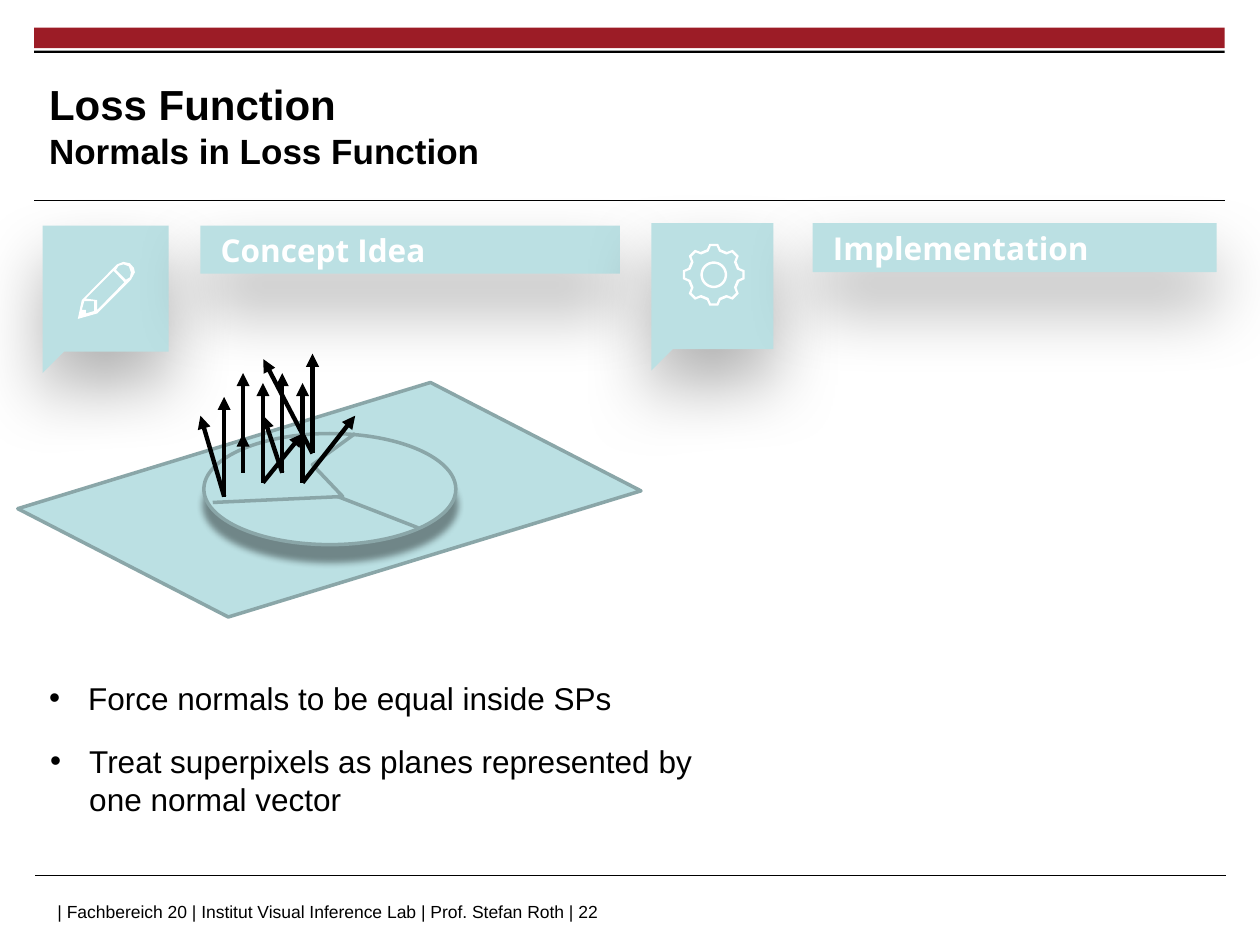
import math
from dataclasses import dataclass
from typing import Optional

from lxml import etree
from pptx import Presentation
from pptx.dml.color import RGBColor
from pptx.enum.shapes import MSO_CONNECTOR, MSO_SHAPE
from pptx.enum.text import MSO_ANCHOR, MSO_AUTO_SIZE, PP_ALIGN
from pptx.oxml.ns import qn
from pptx.util import Cm, Pt

RECTANGLE = MSO_SHAPE.RECTANGLE
ELLIPSE = MSO_SHAPE.OVAL
PARALLELOGRAM = MSO_SHAPE.PARALLELOGRAM
STRAIGHT = MSO_CONNECTOR.STRAIGHT
MIDDLE = MSO_ANCHOR.MIDDLE
LEFT = PP_ALIGN.LEFT
FIT_SHAPE = MSO_AUTO_SIZE.SHAPE_TO_FIT_TEXT

COLORS = {"red": "9C1C26", "black": "000000", "white": "FFFFFF",
          "aqua": "BBE0E3", "edge": "8AA6A8"}

Point = tuple[float, float]
Box = tuple[float, float, float, float]


@dataclass(frozen=True)
class Shadow:
    opacity: int
    blur: float
    distance: float


@dataclass(frozen=True)
class Section:
    heading: str
    callout: Box
    banner: Box


@dataclass(frozen=True)
class Normal:
    base: Point
    tilted_tip: Point


@dataclass(frozen=True)
class Bullet:
    text: str
    box: Box
    wrap: bool


CARD_SHADOW = Shadow(30, 40, 20)
DISC_SHADOW = Shadow(40, 4, 9)

SECTIONS = [
    Section("Concept Idea", (0.86, 4.55, 2.54, 2.54), (4.04, 4.55, 8.46, 0.97)),
    Section("Implementation", (13.13, 4.5, 2.46, 2.54), (16.38, 4.5, 8.15, 0.99)),
]
CALLOUT_TAIL = 0.43

NORMALS = [
    Normal((4.9, 9.53), (4.9, 8.74)),
    Normal((5.69, 9.53), (5.31, 8.38)),
    Normal((6.3, 9.14), (5.31, 7.24)),
    Normal((6.1, 9.73), (7.16, 8.38)),
    Normal((4.52, 10.01), (4.04, 8.38)),
    Normal((5.3, 9.73), (6.1, 8.74)),
]
NORMAL_LENGTH = 2.01

BULLETS = [
    Bullet("Force normals to be equal inside SPs", (0.74, 13.56, 11.96, 1.02), False),
    Bullet("Treat superpixels as planes represented by one normal vector",
           (0.76, 14.83, 13.46, 1.8), True),
]

# Pencil contours: silhouette, cap, body, sharpened end
PENCIL = [
    [(1.57, 6.43), (1.65, 6.05), (2.36, 5.33), (2.49, 5.28), (2.62, 5.31),
     (2.7, 5.4), (2.72, 5.49), (2.64, 5.64), (1.96, 6.32)],
    [(2.62, 5.59), (2.54, 5.64), (2.34, 5.44), (2.39, 5.36), (2.49, 5.33),
     (2.6, 5.37), (2.64, 5.49)],
    [(1.96, 6.25), (1.96, 6.05), (1.73, 6.02), (2.29, 5.46), (2.51, 5.69)],
    [(1.9, 6.27), (1.73, 6.32), (1.73, 6.25), (1.65, 6.25), (1.7, 6.07), (1.9, 6.07)],
]
GEAR_CENTER = (14.39, 5.54)


def rgb(name: str) -> RGBColor:
    return RGBColor.from_string(COLORS[name])


def style(shape, fill: Optional[str] = None, line: Optional[str] = None,
          shadow: Optional[Shadow] = None) -> None:
    if fill:
        shape.fill.solid()
        shape.fill.fore_color.rgb = rgb(fill)
    else:
        shape.fill.background()
    if line:
        shape.line.color.rgb = rgb(line)
        shape.line.width = Pt(2)
    else:
        shape.line.fill.background()
    shape.shadow.inherit = False
    if shadow:
        effects = shape.element.spPr.find(qn("a:effectLst"))
        outer = etree.SubElement(
            effects, qn("a:outerShdw"), blurRad=str(Pt(shadow.blur)),
            dist=str(Pt(shadow.distance)), dir="5400000", algn="t", rotWithShape="0")
        color = etree.SubElement(outer, qn("a:srgbClr"), val=COLORS["black"])
        etree.SubElement(color, qn("a:alpha"), val=str(shadow.opacity * 1000))


def add_preset(slide, kind, box: Box, fill: str, line: Optional[str] = None,
               shadow: Optional[Shadow] = None):
    shape = slide.shapes.add_shape(kind, *map(Cm, box))
    style(shape, fill, line, shadow)
    return shape


def add_outline(slide, contours: list[list[Point]], closed: bool = True):
    emu = [[(Cm(x), Cm(y)) for x, y in contour] for contour in contours]
    builder = slide.shapes.build_freeform(*emu[0][0])
    builder.add_line_segments(emu[0][1:], close=closed)
    for contour in emu[1:]:
        builder.move_to(*contour[0])
        builder.add_line_segments(contour[1:], close=closed)
    return builder.convert_to_shape()


def add_line(slide, start: Point, end: Point, color: str, width: float,
             arrow: bool = False) -> None:
    line = slide.shapes.add_connector(STRAIGHT, *map(Cm, start + end))
    line.line.color.rgb = rgb(color)
    line.line.width = Pt(width)
    if arrow:
        etree.SubElement(line.line._get_or_add_ln(), qn("a:tailEnd"), type="triangle")
    etree.SubElement(line.element.spPr, qn("a:effectLst"))


def add_text(slide, box: Box, text: str, size: float, wrap: bool = True):
    frame = slide.shapes.add_textbox(*map(Cm, box)).text_frame
    frame.word_wrap = wrap
    frame.text = text
    format_runs(frame, "Arial", size, "black")
    return frame


def format_runs(frame, font: str, size: float, color: str, bold: bool = False) -> None:
    for run in frame.paragraphs[0].runs:
        run.font.name = font
        run.font.size = Pt(size)
        run.font.bold = bold
        run.font.color.rgb = rgb(color)


def add_section(slide, section: Section) -> None:
    x, y, width, height = section.callout
    right, bottom = x + width, y + height
    callout = add_outline(slide, [[(x, y), (right, y), (right, bottom),
                                   (x + CALLOUT_TAIL, bottom), (x, bottom + CALLOUT_TAIL)]])
    style(callout, "aqua", shadow=CARD_SHADOW)
    banner = add_preset(slide, RECTANGLE, section.banner, "aqua", shadow=CARD_SHADOW)
    frame = banner.text_frame
    frame.vertical_anchor = MIDDLE
    frame.margin_left = Cm(0.41)
    frame.text = section.heading
    frame.paragraphs[0].alignment = LEFT
    format_runs(frame, "Open Sans", 18, "white", bold=True)


def polar(radius: float, degrees: float) -> Point:
    angle = math.radians(degrees)
    return (GEAR_CENTER[0] + radius * math.sin(angle),
            GEAR_CENTER[1] - radius * math.cos(angle))


def gear_rim(tip: float, root: float, tip_angle: float, root_angle: float) -> list[Point]:
    tooth = [(root, -root_angle), (tip, -tip_angle), (tip, tip_angle), (root, root_angle)]
    return [polar(radius, turn + angle)
            for turn in range(0, 360, 45) for radius, angle in tooth]


def circle(radius: float) -> list[Point]:
    return [polar(radius, angle) for angle in range(0, 360, 10)]


def add_bullet(slide, bullet: Bullet) -> None:
    frame = add_text(slide, bullet.box, bullet.text, 18, bullet.wrap)
    frame.auto_size = FIT_SHAPE
    properties = frame.paragraphs[0]._p.get_or_add_pPr()
    properties.set("marL", str(Cm(0.79)))
    properties.set("indent", str(Cm(-0.79)))
    etree.SubElement(properties, qn("a:buFont"), typeface="Arial")
    etree.SubElement(properties, qn("a:buChar"), char="•")


def main() -> None:
    deck = Presentation()
    deck.slide_width, deck.slide_height = Cm(25.4), Cm(19.05)
    slide = deck.slides.add_slide(deck.slide_layouts[6])

    # Page frame and footer
    add_preset(slide, RECTANGLE, (0.69, 0.56, 24, 0.41), "red")
    add_preset(slide, RECTANGLE, (0.69, 1.02, 24, 0.05), "black")
    for x, y in [(0.69, 4.04), (0.71, 17.65)]:
        add_line(slide, (x, y), (x + 24, y), "black", 0.6)
    footer = add_text(slide, (0.71, 18.03, 19.99, 0.64),
                      "| Fachbereich 20 | Institut Visual Inference Lab | Prof. Stefan Roth | 22", 10)
    footer.margin_left = Cm(0.45)

    # Title
    title = add_text(slide, (0.99, 1.35, 18.44, 2.34),
                     "Loss Function\vNormals in Loss Function", 20)
    title.margin_left = title.margin_right = title.margin_top = title.margin_bottom = 0
    title.vertical_anchor = MIDDLE
    format_runs(title, "Arial", 20, "black", bold=True)
    title.paragraphs[0].runs[0].font.size = Pt(24)

    # Plane with the segmented disc
    plane = add_preset(slide, PARALLELOGRAM, (0.58, 8.41, 12.12, 3.33), "aqua", "edge")
    plane.adjustments[0] = 1.027
    plane.rotation = 343
    plane.element.spPr.find(qn("a:xfrm")).set("flipH", "1")
    add_preset(slide, ELLIPSE, (4.11, 8.74, 5.08, 2.24), "aqua", "edge", DISC_SHADOW)
    segment_border = add_outline(
        slide, [[(4.29, 10.13), (6.91, 10.01), (6.3, 9.37), (7.16, 8.74)]], closed=False)
    style(segment_border, line="edge")
    add_line(slide, (6.81, 10.01), (8.43, 10.64), "edge", 2)

    # Section headers with their icons
    for section in SECTIONS:
        add_section(slide, section)
    gear = [gear_rim(0.63, 0.53, 8, 15), gear_rim(0.58, 0.48, 6, 13),
            circle(0.27), circle(0.22)]
    for icon in (PENCIL, gear):
        style(add_outline(slide, icon), "white")

    # Each point has a tilted normal and an upright one
    for normal in NORMALS:
        x, y = normal.base
        for tip in (normal.tilted_tip, (x, y - NORMAL_LENGTH)):
            add_line(slide, normal.base, tip, "black", 2.5, arrow=True)

    # Key points
    for bullet in BULLETS:
        add_bullet(slide, bullet)

    deck.save("out.pptx")


if __name__ == "__main__":
    main()
